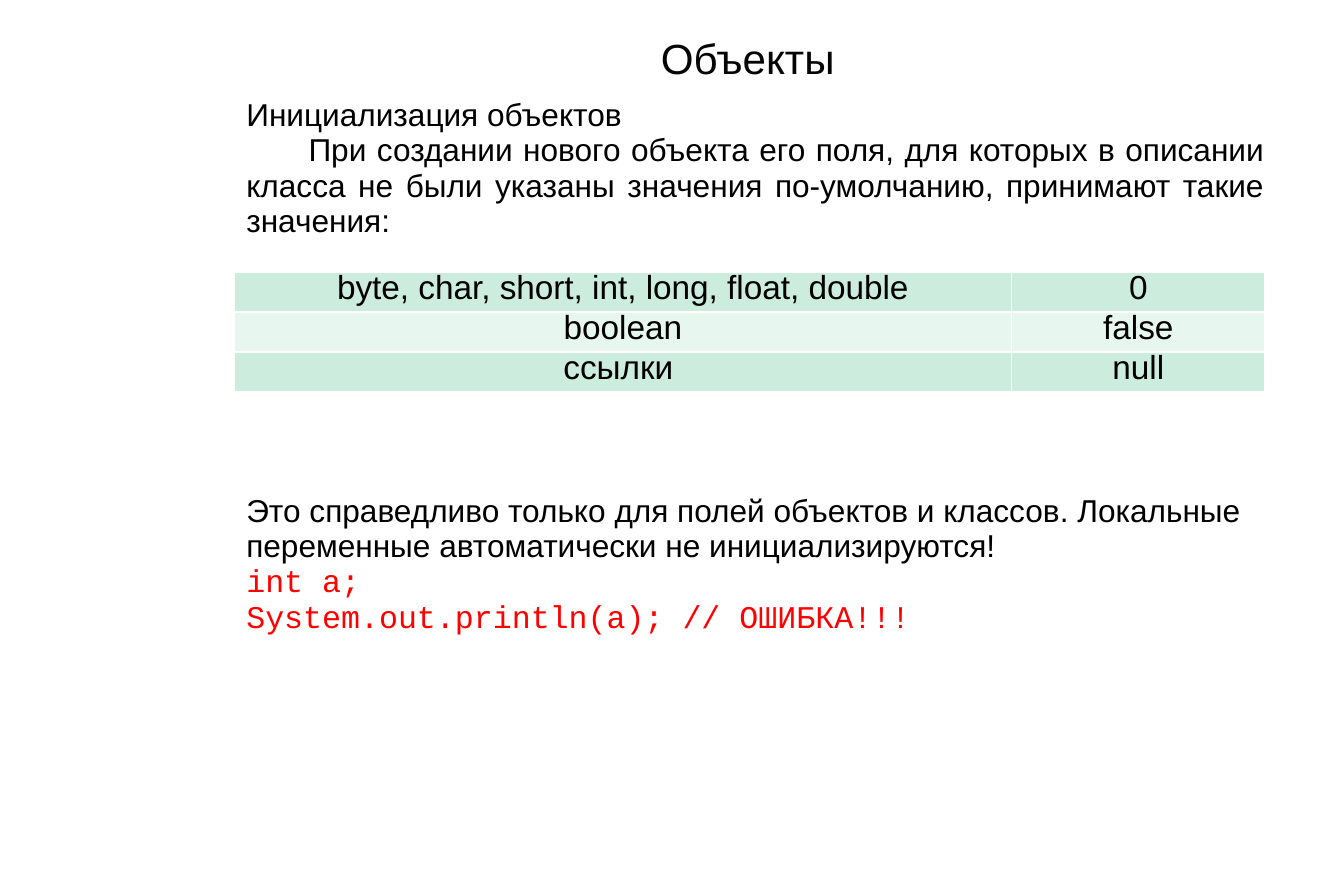
import pptx
import pptx.dml.color
import pptx.enum.text
import pptx.oxml
import pptx.oxml.ns
import pptx.util

Pt = pptx.util.Pt
ALIGN = pptx.enum.text.PP_ALIGN
ANCHOR = pptx.enum.text.MSO_ANCHOR
COLORS = {
    "title": "050505",
    "text": "000000",
    "code": "FF0000",
    "band_dark": "CCECDE",
    "band_light": "E7F6EF",
    "border": "FFFFFF",
}


def format_paragraph(paragraph, text, size, align, color="text", font="Arial"):
    """Fill a paragraph and set its font, colour, alignment and spacing."""
    paragraph.text = text
    paragraph.alignment = align
    paragraph.line_spacing = 0.93
    paragraph.font.size = Pt(size)
    paragraph.font.name = font
    paragraph.font.color.rgb = pptx.dml.color.RGBColor.from_string(COLORS[color])


def add_text(left, top, width, height, lines):
    """Add a wrapping text box with one paragraph per line; return its frame."""
    frame = slide.shapes.add_textbox(Pt(left), Pt(top), Pt(width), Pt(height)).text_frame
    frame.word_wrap = True
    for number, line in enumerate(lines):
        paragraph = frame.add_paragraph() if number else frame.paragraphs[0]
        format_paragraph(paragraph, *line)
    return frame


presentation = pptx.Presentation()
presentation.slide_width = Pt(765.36)
presentation.slide_height = Pt(510.48)
slide = presentation.slides.add_slide(presentation.slide_layouts[6])

heading = add_text(124.5, 16.5, 602.6, 36, [("Объекты", 24, ALIGN.CENTER, "title")])
heading.margin_left = heading.margin_right = heading.margin_top = heading.margin_bottom = 0
heading.vertical_anchor = ANCHOR.MIDDLE

introduction = add_text(133.2, 52.6, 594, 88.6, [
    ("Инициализация объектов", 18, ALIGN.JUSTIFY),
    ("При создании нового объекта его поля, для которых в описании класса "
     "не были указаны значения по-умолчанию, принимают такие значения:", 18, ALIGN.JUSTIFY),
])
introduction.paragraphs[1]._p.get_or_add_pPr().set("indent", str(Pt(35.4)))

# Default values by field type
default_values = [
    ("byte, char, short, int, long, float, double", "0"),
    ("boolean", "false"),
    ("ссылки ", "null"),
]
column_widths = (442.5, 144.5)
row_height = 22.8
defaults = slide.shapes.add_table(
    len(default_values), len(column_widths), Pt(133.5), Pt(155),
    Pt(sum(column_widths)), Pt(row_height * len(default_values))).table
for column, width in zip(defaults.columns, column_widths):
    column.width = Pt(width)
for row_number, values in enumerate(default_values):
    defaults.rows[row_number].height = Pt(row_height)
    band = COLORS["band_light" if row_number % 2 else "band_dark"]
    for column_number, value in enumerate(values):
        cell = defaults.cell(row_number, column_number)
        cell.margin_left = cell.margin_right = Pt(4.5)
        cell.margin_top = cell.margin_bottom = 0
        format_paragraph(cell.text_frame.paragraphs[0], value, 19, ALIGN.CENTER)
        # Borders come before the fill in the cell properties
        properties = cell._tc.get_or_add_tcPr()
        for side in ("lnL", "lnR", "lnT", "lnB"):
            properties.append(pptx.oxml.parse_xml(
                f'<a:{side} {pptx.oxml.ns.nsdecls("a")} w="{Pt(1)}"><a:solidFill>'
                f'<a:srgbClr val="{COLORS["border"]}"/></a:solidFill></a:{side}>'))
        cell.fill.solid()
        cell.fill.fore_color.rgb = pptx.dml.color.RGBColor.from_string(band)

add_text(133.2, 277.9, 584, 108.7, [
    ("Это справедливо только для полей объектов и классов. Локальные "
     "переменные автоматически не инициализируются!", 18, ALIGN.LEFT),
    ("int a;", 18, ALIGN.LEFT, "code", "Courier New"),
    ("System.out.println(a); // ОШИБКА!!!", 18, ALIGN.LEFT, "code", "Courier New"),
])

presentation.save("out.pptx")
